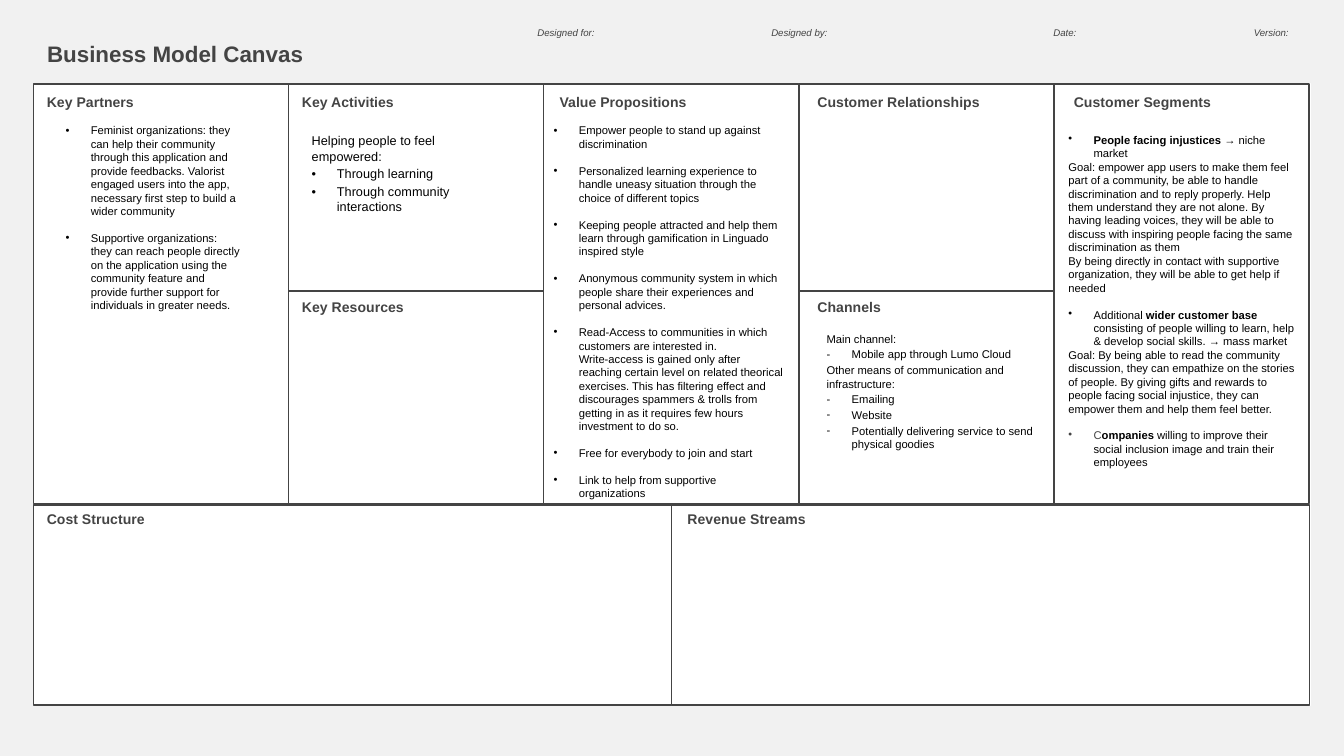
from lxml import etree
from pptx import Presentation
from pptx.dml.color import RGBColor
from pptx.enum.shapes import MSO_SHAPE
from pptx.enum.text import MSO_ANCHOR, MSO_AUTO_SIZE, PP_ALIGN
from pptx.oxml.ns import qn
from pptx.util import Pt

RECT, TOP, LEFT = MSO_SHAPE.RECTANGLE, MSO_ANCHOR.TOP, PP_ALIGN.LEFT
NO_AUTOFIT = MSO_AUTO_SIZE.NONE
GREY, BLACK, WHITE, BACKDROP = "444444", "000000", "FFFFFF", "F1F1F1"
BOLD, TINTED = {"bold": True}, {"color": GREY}
HANG = 13.5
DOT, DASH = "•", "-"

# Content: header fields as (text, left, width)
TITLE = "Business Model Canvas"
FIELDS = [("Designed for:", 280.8, 102.2), ("Designed by:", 406.1, 102.2),
          ("Date:", 557.3, 88.6), ("Version:", 664.6, 45.4)]

# Canvas cells: heading, column, row, heading shift
CELLS = [
    ("Key Partners", 0, "tall", 0),
    ("Key Activities", 1, "upper", 0),
    ("Key Resources", 1, "lower", 0),
    ("Value Propositions", 2, "tall", 1.4),
    ("Customer Relationships", 3, "upper", 2.9),
    ("Channels", 3, "lower", 2.9),
    ("Customer Segments", 4, "tall", 3.6),
    ("Cost Structure", 0, "bottom", 0),
    ("Revenue Streams", 1, "bottom", 1.4),
]

# Paragraphs: bullet, gap above, text or runs
LINE = 7.2
PARTNERS = [
    (DOT, 0, "Feminist organizations: they can help their community through this "
     "application and provide feedbacks. Valorist engaged users into the app, "
     "necessary first step to build a wider community"),
    (DOT, LINE, "Supportive organizations: they can reach people directly on the "
     "application using the community feature and provide further support for "
     "individuals in greater needs."),
]
ACTIVITIES = [
    (None, 1.4, "Helping people to feel empowered:"),
    (DOT, 1.4, "Through learning"),
    (DOT, 1.4, "Through community interactions"),
]
PROPOSITIONS = [(DOT, LINE if i else 0, text) for i, text in enumerate([
    "Empower people to stand up against discrimination",
    "Personalized learning experience to handle uneasy situation through the "
    "choice of different topics",
    "Keeping people attracted and help them learn through gamification in "
    "Linguado inspired style",
    "Anonymous community system in which people share their experiences and "
    "personal advices.",
    "Read-Access to communities in which customers are interested in.\n"
    "Write-access is gained only after reaching certain level on related "
    "theorical exercises. This has filtering effect and discourages spammers & "
    "trolls from getting in as it requires few hours investment to do so.",
    "Free for everybody to join and start",
    "Link to help from supportive organizations",
])]
CHANNELS = [(bullet, 1.2, text) for bullet, text in [
    (None, "Main channel:"),
    (DASH, "Mobile app through Lumo Cloud"),
    (None, "Other means of communication and infrastructure:"),
    (DASH, "Emailing"),
    (DASH, "Website"),
    (DASH, "Potentially delivering service to send physical goodies"),
]]
SEGMENTS = [
    (DOT, 0, [("People facing injustices ", BOLD), ("→ niche market", {})]),
    (None, 0, "Goal: empower app users to make them feel part of a community, be "
     "able to handle discrimination and to reply properly. Help them understand "
     "they are not alone. By having leading voices, they will be able to discuss "
     "with inspiring people facing the same discrimination as them"),
    (None, 0, "By being directly in contact with supportive organization, they "
     "will be able to get help if needed"),
    (DOT, LINE, [("Additional ", {}), ("wider customer base ", BOLD),
                 ("consisting of people willing to learn, help & develop social "
                  "skills. → mass market", {})]),
    (None, 0, "Goal: By being able to read the community discussion, they can "
     "empathize on the stories of people. By giving gifts and rewards to people "
     "facing social injustice, they can empower them and help them feel better."),
    (DOT, LINE, [("C", TINTED), ("ompanies", BOLD),
                 (" willing to improve their social inclusion image and train "
                  "their employees", {})]),
]
# Bodies: paragraphs, size, box, fill
BODIES = [
    (PARTNERS, 6, (30.2, 63.4, 103.7, 203), WHITE),
    (ACTIVITIES, 6.8, (162, 68.4, 110.2, 71.3), WHITE),
    (PROPOSITIONS, 6, (291.6, 63.4, 133.9, 202.3), WHITE),
    (CHANNELS, 6, (437.8, 175, 121, 90.7), WHITE),
    (SEGMENTS, 6, (567.4, 68.4, 131.8, 203), None),
]

# Canvas grid
X0, Y0, COLUMN, SPLIT, BOTTOM_Y = 18, 45, 136.65, 156, 270.6
ROWS = {  # top, height, column pitch, heading drop
    "tall": (Y0, 224.8, COLUMN, 1.8),
    "upper": (Y0, SPLIT - Y0, COLUMN, 1.8),
    "lower": (SPLIT, Y0 + 224.8 - SPLIT, COLUMN, 0.2),
    "bottom": (BOTTOM_Y, 107.2, 341.8, -0.7),
}


def rgb(value):
    return RGBColor.from_string(value)


def place(shape, box):
    for side, value in zip(("left", "top", "width", "height"), box):
        setattr(shape, side, Pt(value))


def rectangle(box, fill, line):
    shape = slide.shapes.add_shape(RECT, *map(Pt, box))
    shape.shadow.inherit = False
    if fill:
        shape.fill.solid()
        shape.fill.fore_color.rgb = rgb(fill)
    else:
        shape.fill.background()
    shape.line.color.rgb = rgb(line)
    shape.line.width = Pt(0.75)
    return shape


def add_run(paragraph, text, size, color=BLACK, bold=False, italic=False):
    font_values = {"name": "Arial", "size": Pt(size), "bold": bold, "italic": italic}
    for i, piece in enumerate(text.split("\n")):
        if i:
            paragraph.add_line_break()
        run = paragraph.add_run()
        run.text = piece
        for key, value in font_values.items():
            setattr(run.font, key, value)
        run.font.color.rgb = rgb(color)


def write(shape, paragraphs, size, inset=(7.2, 3.6), **style):
    frame = shape.text_frame
    across, down = map(Pt, inset)
    frame_values = {"word_wrap": True, "auto_size": NO_AUTOFIT, "vertical_anchor": TOP,
                    "margin_left": across, "margin_right": across,
                    "margin_top": down, "margin_bottom": down}
    for key, value in frame_values.items():
        setattr(frame, key, value)
    for i, (bullet, gap, content) in enumerate(paragraphs):
        paragraph = frame.add_paragraph() if i else frame.paragraphs[0]
        paragraph.alignment = LEFT
        paragraph.space_before = Pt(gap)
        properties = paragraph._p.get_or_add_pPr()
        hang = Pt(HANG) if bullet else 0
        properties.set("marL", str(hang))
        properties.set("indent", str(-hang))
        mark = etree.SubElement(properties, qn("a:buChar" if bullet else "a:buNone"))
        if bullet:
            mark.set("char", bullet)
        runs = [(content, {})] if isinstance(content, str) else content
        for text, look in runs:
            add_run(paragraph, text, size, **{**style, **look})


def label(text, box, size, **style):
    write(slide.shapes.add_textbox(*map(Pt, box)), [(None, 0, text)], size,
          color=GREY, **style)


prs = Presentation()
prs.slide_width, prs.slide_height = Pt(720), Pt(405)
slide = prs.slides.add_slide(prs.slide_layouts.get_by_name("Comparison"))
slide.background.fill.solid()
slide.background.fill.fore_color.rgb = rgb(BACKDROP)

# White panel, behind the placeholders
panel = rectangle((X0, Y0, 684, 332.8), WHITE, WHITE)
slide.shapes.element.insert(2, panel.element)

# Title and header fields
title = slide.shapes.title
place(title, (18, 18, 187.2, 21.6))
write(title, [(None, 0, TITLE)], 12, color=GREY, bold=True)
for text, left, width in FIELDS:
    label(text, (left, 10.8, width, 13.7), 5.2, italic=True)

# Cell frames and headings
for heading, column, row, shift in CELLS:
    top, height, pitch, drop = ROWS[row]
    left = X0 + column * pitch
    rectangle((left, top, pitch, height), None, GREY)
    label(heading, (left + shift, top + drop, 127.4, 16.6), 7.5, bold=True)

# Cell bodies: the layout's placeholders, then a text box for the last one
holders = [p for p in slide.placeholders if p.placeholder_format.idx]
for i, (paragraphs, size, box, fill) in enumerate(BODIES):
    body = holders[i] if i < len(holders) else slide.shapes.add_textbox(*map(Pt, box))
    place(body, box)
    if fill:
        body.fill.solid()
        body.fill.fore_color.rgb = rgb(fill)
    write(body, paragraphs, size, inset=(5, 2.9))

prs.save("out.pptx")
